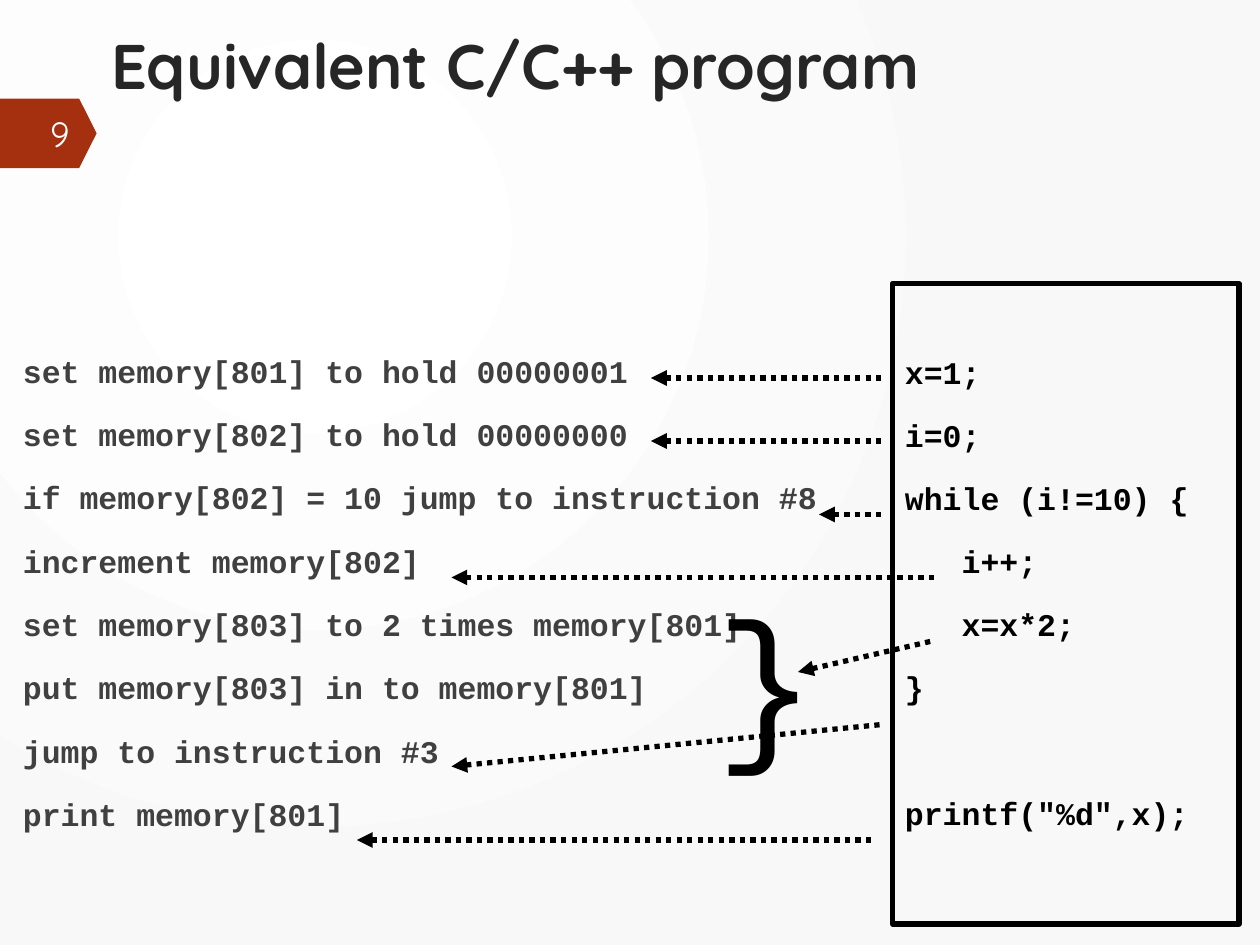
from lxml import etree
from pptx import Presentation
from pptx.dml.color import RGBColor
from pptx.enum.dml import MSO_LINE
from pptx.enum.shapes import MSO_CONNECTOR, MSO_SHAPE
from pptx.enum.text import MSO_ANCHOR, PP_ALIGN
from pptx.oxml.ns import qn
from pptx.util import Inches, Pt

BLACK = RGBColor(0, 0, 0)
WHITE = RGBColor(0xFF, 0xFF, 0xFF)
OFF_WHITE = RGBColor(0xFE, 0xFF, 0xFF)
PALE = RGBColor(0xF8, 0xF8, 0xF8)
RUST = RGBColor(0xA5, 0x30, 0x10)
INK = RGBColor(0x26, 0x26, 0x26)
GREY = RGBColor(0x40, 0x40, 0x40)

RECT, PENTAGON = MSO_SHAPE.RECTANGLE, MSO_SHAPE.PENTAGON
STRAIGHT, DOTTED = MSO_CONNECTOR.STRAIGHT, MSO_LINE.ROUND_DOT
TOP, MIDDLE = MSO_ANCHOR.TOP, MSO_ANCHOR.MIDDLE
LEFT, RIGHT = PP_ALIGN.LEFT, PP_ALIGN.RIGHT

COLS, ROWS = 120, 90
HEAVY = Pt(3)
CODE_INDENT = Inches(0.45)  # three code characters

TITLE = {"name": "Quicksand", "size": Pt(36), "bold": True}
NUMBER = {"name": "Quicksand", "size": Pt(20)}
CODE = {"name": "Courier New", "size": Pt(18), "bold": True}
BRACE = {"name": "Courier New", "size": Pt(96)}

INSTRUCTIONS = [
    "set memory[801] to hold 00000001",
    "set memory[802] to hold 00000000",
    "if memory[802] = 10 jump to instruction #8",
    "increment memory[802]",
    "set memory[803] to 2 times memory[801]",
    "put memory[803] in to memory[801]",
    "jump to instruction #3",
    "print memory[801]",
]
# Each line with its indent level and the points of space before it
PROGRAM = [
    ("x=1;", 0, 3.6),
    ("i=0;", 0, 3.6),
    ("while (i!=10) {", 0, 3.6),
    ("i++;", 1, 3.6),
    ("x=x*2;", 1, 3.6),
    ("}", 0, 3.6),
    ('printf("%d",x);', 0, 39.6),
]
# Instruction end, then program end, in grid units
ARROWS = [
    (62, 36, 84, 36),
    (62, 42, 84, 42),
    (78, 49, 84, 49),
    (43, 55, 89, 55),
    (76, 64, 89, 61),
    (43, 73, 84, 69),
    (34, 80, 83, 80),
]


class Deck:
    """Holds the style and the current slide; lengths are grid columns and rows."""

    def __init__(self):
        self.prs = Presentation()
        self.prs.slide_width, self.prs.slide_height = Inches(10), Inches(7.5)
        self.s = self.prs.slides.add_slide(self.prs.slide_layouts[6])

    def grid(self, *values):
        """Turn alternating columns and rows into lengths."""
        units = (self.prs.slide_width / COLS, self.prs.slide_height / ROWS)
        return [round(v * units[i % 2]) for i, v in enumerate(values)]

    def background(self, inner, outer):
        fill = self.s.background.fill
        fill.gradient()
        for stop, color in zip(fill.gradient_stops, (inner, outer)):
            stop.color.rgb = color
        grad = next(self.s.element.iter(qn("a:gradFill")))
        grad.remove(grad.find(qn("a:lin")))
        circle = etree.SubElement(grad, qn("a:path"), {"path": "circle"})
        etree.SubElement(circle, qn("a:fillToRect"),
                         l="50000", t="50000", r="100000", b="100000")

    def shape(self, kind, box, fill=None, line=None):
        sp = self.s.shapes.add_shape(kind, *self.grid(*box))
        sp.shadow.inherit = False
        if fill is None:
            sp.fill.background()
        else:
            sp.fill.solid()
            sp.fill.fore_color.rgb = fill
        if line is None:
            sp.line.fill.background()
        else:
            sp.line.color.rgb, sp.line.width = line, HEAVY
        return sp

    def text(self, box, lines, font, color, **style):
        sp = self.s.shapes.add_textbox(*self.grid(*box))
        self.fill_text(sp, lines, font, color, **style)

    def fill_text(self, sp, lines, font, color, align=LEFT, anchor=TOP,
                  spacing=1.0, inset=0.05, wrap=True):
        """Fill a shape with (text, indent level, points before) lines."""
        tf = sp.text_frame
        tf.word_wrap, tf.vertical_anchor = wrap, anchor
        tf.margin_top = Inches(inset)
        for i, (line, level, before) in enumerate(lines):
            p = tf.add_paragraph() if i else tf.paragraphs[0]
            p.alignment, p.line_spacing = align, spacing
            p.space_before = Pt(before)
            p._p.get_or_add_pPr().set("marL", str(level * CODE_INDENT))
            r = p.add_run()
            r.text = line
            r.font.color.rgb = color
            for key, value in font.items():
                setattr(r.font, key, value)

    def arrow(self, *ends):
        """Dotted line with its arrowhead at the first end."""
        c = self.s.shapes.add_connector(STRAIGHT, *self.grid(*ends))
        c.line.color.rgb, c.line.width = BLACK, HEAVY
        c.line.dash_style = DOTTED
        etree.SubElement(c.line._get_or_add_ln(), qn("a:headEnd"), type="triangle")
        etree.SubElement(c._element.spPr, qn("a:effectLst"))


def main():
    deck = Deck()
    deck.background(WHITE, PALE)
    badge = deck.shape(PENTAGON, (0, 9.4, 9.2, 6.6), fill=RUST)
    badge.adjustments[0] = 0.25
    deck.text((9.4, 1.9, 109.2, 10.7), [("Equivalent C/C++ program", 0, 0)],
              TITLE, INK)
    deck.text((1, 27, 79, 57), [(line, 0, 6) for line in INSTRUCTIONS],
              CODE, GREY, spacing=1.4, inset=0.42)
    program = deck.shape(RECT, (85, 27, 33, 61), line=BLACK)
    deck.fill_text(program, PROGRAM, CODE, BLACK, spacing=1.5, inset=0.4)
    deck.text((67, 54, 12, 20.4), [("}", 0, 0)], BRACE, BLACK, wrap=False)
    for ends in ARROWS:
        deck.arrow(*ends)
    deck.text((0.1, 10.3, 7.7, 4.8), [("9", 0, 0)], NUMBER, OFF_WHITE,
              align=RIGHT, anchor=MIDDLE)
    deck.prs.save("out.pptx")


if __name__ == "__main__":
    main()
